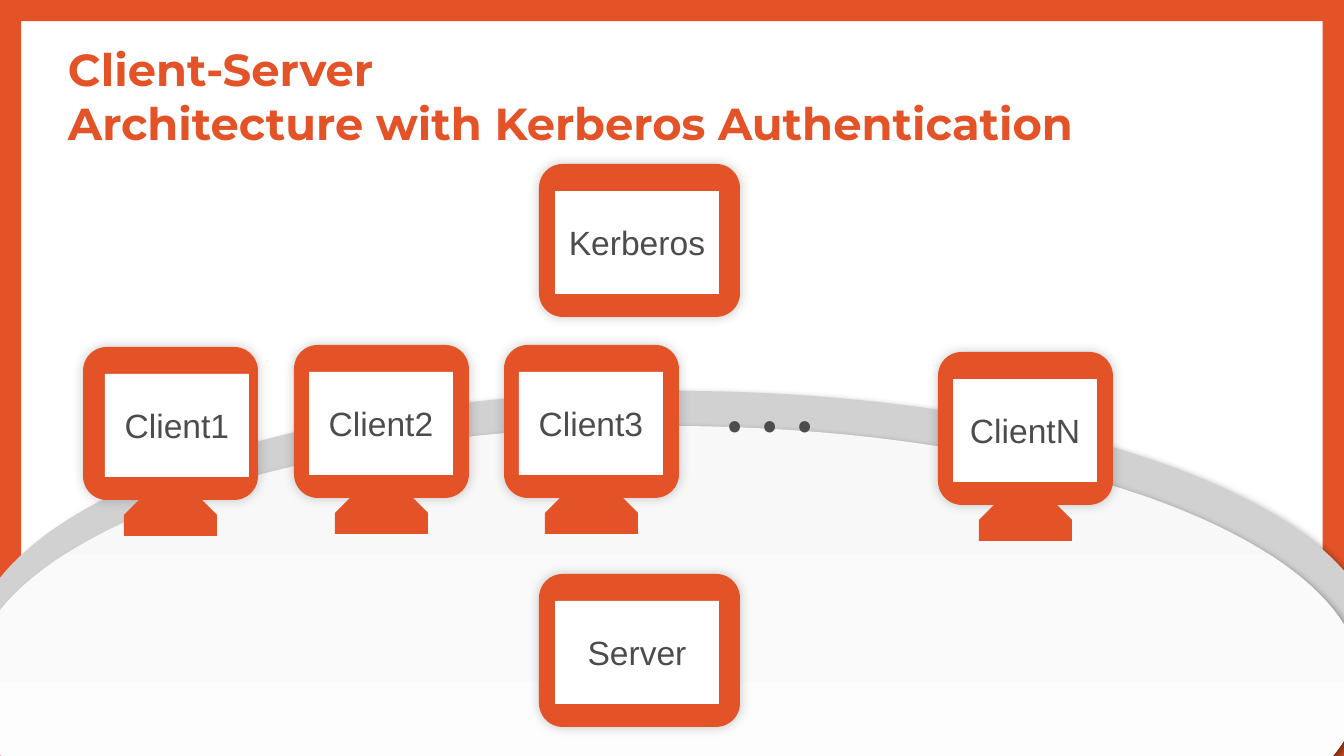
from dataclasses import dataclass

import pptx
import pptx.dml.color
import pptx.enum.shapes
import pptx.enum.text
import pptx.oxml
import pptx.oxml.ns
import pptx.util

SCALE = 914400 / 134.4  # EMU in one px
COLORS = {"brand": "E45327", "ring": "D1D1D1", "top": "F8F8F8",
          "white": "FFFFFF", "text": "4C4C4C", "shade": "000000"}
KIND = pptx.enum.shapes.MSO_SHAPE
ALIGN = pptx.enum.text.PP_ALIGN
MIDDLE = pptx.enum.text.MSO_ANCHOR.MIDDLE


@dataclass(frozen=True)
class Shade:
    alpha: int  # percent
    blur: int  # points
    dist: int  # points
    angle: int  # degrees


@dataclass(frozen=True)
class Host:
    name: str
    x: int
    y: int
    width: int = 175
    inset: int = 15
    screen: int = 144
    stand: bool = True


HILL = Shade(40, 4, 3, 45)
GLOW = Shade(20, 6, 0, 315)
HOSTS = [
    Host("Kerberos", 539, 164, 201, 16, 164, False),
    Host("ClientN", 938, 352),
    Host("Client1", 83, 347, inset=22),
    Host("Server", 539, 574, 201, 16, 164, False),
    Host("Client2", 294, 345),
    Host("Client3", 504, 345),
]


def px(n: int) -> int:
    return round(n * SCALE)


def rgb(name: str) -> pptx.dml.color.RGBColor:
    return pptx.dml.color.RGBColor.from_string(COLORS[name])


def cast(shape, shade: Shade) -> None:
    """Give the shape an outer shadow."""
    old = shape._element.spPr.find(pptx.oxml.ns.qn("a:effectLst"))
    old.append(pptx.oxml.parse_xml(
        f'<a:outerShdw {pptx.oxml.ns.nsdecls("a")} blurRad="{shade.blur * 12700}" '
        f'dist="{shade.dist * 12700}" dir="{shade.angle * 60000}" algn="ctr" '
        f'rotWithShape="0"><a:srgbClr val="{COLORS["shade"]}">'
        f'<a:alpha val="{shade.alpha * 1000}"/></a:srgbClr></a:outerShdw>'))


def draw(shapes, kind, box: tuple[int, int, int, int], fill: str,
         adj: tuple[float, ...] = (), shade: Shade | None = None):
    shape = shapes.add_shape(kind, *map(px, box))
    shape.shadow.inherit = False
    shape.fill.solid()
    shape.fill.fore_color.rgb = rgb(fill)
    shape.line.fill.background()
    for i, value in enumerate(adj):
        shape.adjustments[i] = value
    if shade:
        cast(shape, shade)
    return shape


def write(shape, text: str, size: int, font: str, color: str,
          align=ALIGN.LEFT, bold: bool = False) -> None:
    frame = shape.text_frame
    frame.text = text
    for para in frame.paragraphs:
        para.alignment = align
        for run in para.runs:
            run.font.size = pptx.util.Pt(size)
            run.font.name = font
            run.font.bold = bold
            run.font.color.rgb = rgb(color)


def pad(frame) -> None:
    frame.margin_left = frame.margin_right = px(10)
    frame.margin_top = frame.margin_bottom = px(5)
    frame.vertical_anchor = MIDDLE


def place(shapes, host: Host) -> None:
    """Draw one monitor with its label and, for clients, a stand."""
    group = shapes.add_group_shape().shapes
    draw(group, KIND.ROUNDED_RECTANGLE, (host.x, host.y, host.width, 153),
         "brand", (0.156,), GLOW)
    panel = draw(group, KIND.RECTANGLE,
                 (host.x + host.inset, host.y + 27, host.screen, 103), "white")
    pad(panel.text_frame)
    write(panel, host.name, 18, "Arial", "text", ALIGN.CENTER)
    if host.stand:
        draw(group, KIND.SNIP_2_SAME_RECTANGLE,
             (host.x + 41, host.y + 147, 93, 42), "brand", (0.5, 0))


def main() -> None:
    deck = pptx.Presentation()
    deck.slide_width, deck.slide_height = px(1344), px(756)
    slide = deck.slides.add_slide(deck.slide_layouts[5])
    shapes = slide.shapes

    # Border and hill
    draw(shapes, KIND.FRAME, (0, 0, 1344, 756), "brand", (0.028,))
    draw(shapes, KIND.OVAL, (-28, 391, 1406, 519), "ring", shade=HILL)
    hill = draw(shapes, KIND.OVAL, (-28, 426, 1390, 513), "top", shade=HILL)
    hill.fill.gradient()
    hill.fill.gradient_angle = 270  # counter-clockwise, so top to bottom
    for stop, name, pos in zip(hill.fill.gradient_stops, ("top", "white"), (0, 1)):
        stop.color.rgb = rgb(name)
        stop.position = pos

    # Title
    title = shapes.title
    title.left, title.top, title.width, title.height = map(px, (58, 28, 1228, 135))
    pad(title.text_frame)
    title.text_frame.auto_size = pptx.enum.text.MSO_AUTO_SIZE.NONE
    write(title, "Client-Server \vArchitecture with Kerberos Authentication",
          24, "Montserrat", "brand", bold=True)

    # Monitors
    for host in HOSTS:
        place(shapes, host)

    # Dots for the clients between
    dots = shapes.add_textbox(*map(px, (704, 383, 208, 86)))
    dots.text_frame.word_wrap = False
    font = "Noto Sans CJK JP"
    write(dots, "···", 32, font, "text", bold=True)
    for run in dots.text_frame.paragraphs[0].runs:
        east = pptx.oxml.parse_xml(
            f'<a:ea {pptx.oxml.ns.nsdecls("a")} typeface="{font}"/>')
        run.font._element.append(east)

    deck.save("out.pptx")


if __name__ == "__main__":
    main()
